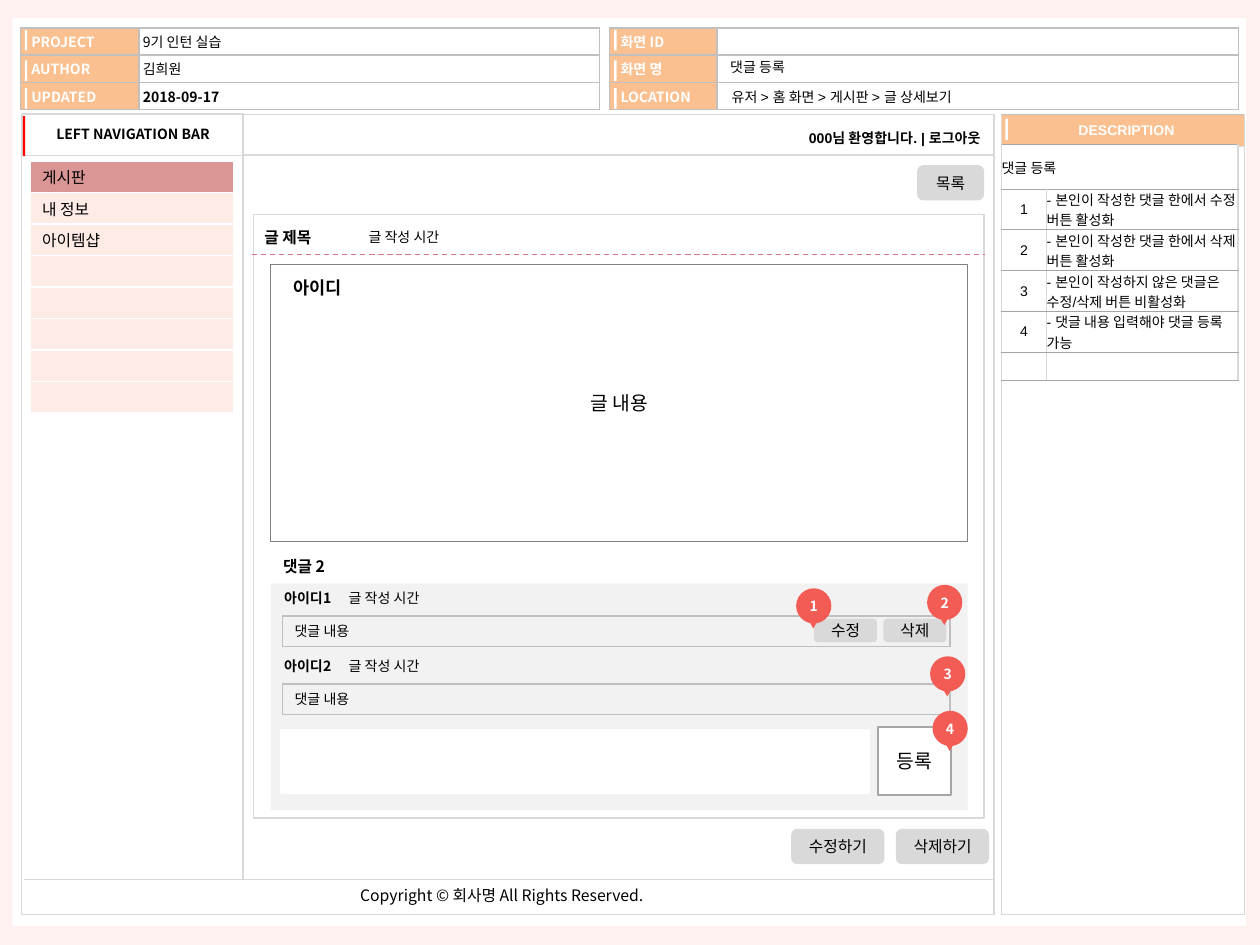
from dataclasses import dataclass

from lxml.etree import SubElement
from pptx import Presentation
from pptx.dml.color import RGBColor
from pptx.enum.dml import MSO_LINE
from pptx.enum.shapes import MSO_CONNECTOR, MSO_SHAPE as Preset
from pptx.enum.text import MSO_ANCHOR as Anchor, PP_ALIGN as Align
from pptx.oxml.ns import qn
from pptx.util import Cm, Pt


@dataclass(frozen=True)
class Theme:
    sans: str = "Noto Sans CJK KR"
    arial: str = "Arial"
    small: int = 8
    menu: int = 9
    author: int = 10
    large: int = 11
    black: str = "000000"
    white: str = "FFFFFF"
    page: str = "FFF1EF"
    header: str = "FAC090"
    header_line: str = "C0C0C0"
    light: str = "D9D9D9"
    rule: str = "A6A6A6"
    comment_line: str = "BFBFBF"
    content_line: str = "808080"
    comments: str = "F2F2F2"
    selected: str = "D99694"
    item: str = "FFEBE5"
    accent: str = "FF0000"
    dashes: str = "D67484"
    pin: str = "F25C54"


T = Theme()

# Tables: left, column widths, rows
PROJECT = (0.41, (2.39, 9.29), [
    ("PROJECT", "9기 인턴 실습"), ("AUTHOR", "김희원"), ("UPDATED", "2018-09-17")])
SCREEN = (12.29, (2.16, 10.52), [("화면 ID", ""), ("화면 명", ""), ("LOCATION", "")])
MENU = ["게시판", "내 정보", "아이템샵", "", "", "", "", ""]
NOTES = [
    ("1", "- 본인이 작성한 댓글 한에서 수정 버튼 활성화"),
    ("2", "- 본인이 작성한 댓글 한에서 삭제 버튼 활성화"),
    ("3", "- 본인이 작성하지 않은 댓글은 수정/삭제 버튼 비활성화"),
    ("4", "- 댓글 내용 입력해야 댓글 등록 가능"),
    ("", ""),
]

# Text, left, top, width, height, then text options
LABELS = [
    ("유저 > 홈 화면 > 게시판 > 글 상세보기", 14.53, 1.68, 7.37, 0.51, dict(font=T.arial)),
    ("댓글 등록", 14.5, 1.09, 7.37, 0.51, dict(font=T.arial)),
    ("000님 환영합니다. | 로그아웃", 13.44, 2.51, 6.55, 0.56,
     dict(font=T.arial, bold=True, align=Align.RIGHT)),
    ("아이디", 5.69, 5.49, 1.57, 0.69, dict(size=T.author, bold=True)),
    ("글 작성 시간", 7.21, 4.5, 2.13, 0.61, {}),
    ("글 제목", 5.11, 4.5, 1.57, 0.64, dict(size=T.menu, bold=True)),
    ("Copyright © 회사명 All Rights Reserved.", 7.04, 17.75, 6.4, 0.64, dict(size=T.menu)),
    ("댓글 2", 5.49, 11.13, 1.45, 0.64, dict(size=T.menu, bold=True)),
]
BUTTONS = [
    ("목록", 18.49, 3.33, 1.35, 0.71),
    ("삭제", 17.81, 12.47, 1.27, 0.48),
    ("수정", 16.41, 12.47, 1.27, 0.48),
    ("수정하기", 15.95, 16.71, 1.88, 0.71),
    ("삭제하기", 18.06, 16.71, 1.88, 0.71),
]
COMMENTS = [("아이디1", 11.79), ("아이디2", 13.16)]
PINS = [("1", 16.05, 11.86), ("2", 18.69, 11.79), ("3", 18.75, 13.23), ("4", 18.8, 14.33)]
# Start x, start y, end x, end y, colour, width, dashed
LINES = [
    (4.9, 2.31, 4.9, 17.73, T.light, 0.75, False),
    (4.9, 3.12, 20.04, 3.12, T.light, 1, False),
    (5.08, 5.13, 19.86, 5.13, T.dashes, 0.75, True),
    (0.48, 17.73, 20.04, 17.73, T.light, 1, False),
]


def rgb(color):
    return RGBColor.from_string(color)


def write(frame, text, size=T.small, font=T.sans, color=T.black, bold=False, align=Align.LEFT):
    paragraph = frame.paragraphs[0]
    paragraph.alignment = align
    if text:
        paragraph.add_run().text = text
    else:
        SubElement(paragraph._p, qn("a:endParaRPr"), sz=str(size * 100))
    style = paragraph.font
    style.size, style.bold = Pt(size), bold
    style.color.rgb = rgb(color)
    style.name = font
    east_asian = paragraph._p.get_or_add_pPr().get_or_add_defRPr()
    SubElement(east_asian, qn("a:ea"), typeface=T.sans)


def set_margins(target, horizontal, vertical):
    target.margin_left = target.margin_right = Cm(horizontal)
    target.margin_top = target.margin_bottom = Cm(vertical)


def add_box(shapes, left, top, width, height, fill=None, line=None, weight=0.75,
            preset=Preset.RECTANGLE, text="", **style):
    shape = shapes.add_shape(preset, Cm(left), Cm(top), Cm(width), Cm(height))
    shape.shadow.inherit = False
    if fill:
        shape.fill.solid()
        shape.fill.fore_color.rgb = rgb(fill)
    else:
        shape.fill.background()
    if line:
        shape.line.color.rgb = rgb(line)
        shape.line.width = Pt(weight)
    else:
        shape.line.fill.background()
    if text:
        frame = shape.text_frame
        frame.word_wrap = True
        frame.vertical_anchor = Anchor.MIDDLE
        centred = style.setdefault("align", Align.CENTER) == Align.CENTER
        set_margins(frame, 0 if centred else 0.25, 0)
        write(frame, text, **style)
    return shape


def add_label(shapes, text, left, top, width, height, style):
    frame = shapes.add_textbox(Cm(left), Cm(top), Cm(width), Cm(height)).text_frame
    frame.word_wrap = "align" in style
    set_margins(frame, 0.22, 0.1)
    write(frame, text, **style)


def add_line(shapes, x1, y1, x2, y2, color, weight, dashed):
    line = shapes.add_connector(MSO_CONNECTOR.STRAIGHT, Cm(x1), Cm(y1), Cm(x2), Cm(y2))
    line.line.color.rgb = rgb(color)
    line.line.width = Pt(weight)
    if dashed:
        line.line.dash_style = MSO_LINE.DASH
    SubElement(line._element.spPr, qn("a:effectLst"))


def add_grid(shapes, left, top, widths, heights):
    table = shapes.add_table(len(heights), len(widths), Cm(left), Cm(top),
                             Cm(sum(widths)), Cm(sum(heights))).table
    table.first_row = table.horz_banding = False
    for column, width in zip(table.columns, widths):
        column.width = Cm(width)
    for row, height in zip(table.rows, heights):
        row.height = Cm(height)
    return table


def fill_cell(cell, text, fill, sides, ends, margins=(0, 0), indent=None, **style):
    """Style a cell; sides and ends are (colour, points) for left/right and top/bottom."""
    properties = cell._tc.get_or_add_tcPr()
    for tag, (color, weight) in zip(("lnL", "lnR", "lnT", "lnB"), (sides, sides, ends, ends)):
        border = SubElement(properties, qn(f"a:{tag}"), w=str(Pt(weight)))
        SubElement(SubElement(border, qn("a:solidFill")), qn("a:srgbClr"), val=color)
    cell.fill.solid()
    cell.fill.fore_color.rgb = rgb(fill)
    cell.vertical_anchor = Anchor.MIDDLE
    set_margins(cell, *margins)
    if indent is not None:
        cell.margin_left = Cm(indent)
    write(cell.text_frame, text, **style)


def add_header(shapes, left, widths, rows):
    table = add_grid(shapes, left, 0.56, widths, [0.55] * len(rows))
    line = (T.header_line, 1)
    for index, (name, value) in enumerate(rows):
        fill_cell(table.cell(index, 0), name, T.header, line, line, (0.08, 0),
                  indent=0.22, color=T.white, bold=True)
        fill_cell(table.cell(index, 1), value, T.white, line, line, (0.08, 0),
                  bold=name == "UPDATED")
    for top in (0.61, 1.22, 1.78):
        add_box(shapes, left + 0.09, top, 0.05, 0.41, T.white)


def add_description(shapes):
    sides, grey, rule = (T.light, 1), (T.header_line, 1), (T.rule, 0.5)
    panel = add_grid(shapes, 20.19, 2.31, [4.9], [0.64, 15.49])
    fill_cell(panel.cell(0, 0), "DESCRIPTION", T.header, sides, grey, indent=0.14,
              font=T.arial, color=T.white, bold=True, align=Align.CENTER)
    fill_cell(panel.cell(1, 0), "", T.white, sides, sides)
    add_box(shapes, 20.27, 2.39, 0.05, 0.43, T.white)

    table = add_grid(shapes, 20.19, 2.92, [0.91, 3.86], [0.89] + [0.82] * 4 + [0.56])
    table.cell(0, 0).merge(table.cell(0, 1))
    for index, row in enumerate([("댓글 등록", "")] + NOTES):
        for column, text in enumerate(row):
            centred = index > 0 and column == 0
            fill_cell(table.cell(index, column), text, T.white, sides, rule, font=T.arial,
                      align=Align.CENTER if centred else Align.LEFT)


def add_menu(shapes):
    table = add_grid(shapes, 0.61, 3.25, [4.11], [5.08 / len(MENU)] * len(MENU))
    line = (T.white, 1)
    for index, name in enumerate(MENU):
        fill_cell(table.cell(index, 0), name, T.item if index else T.selected,
                  line, line, (0.24, 0.06), size=T.menu)


def add_pin(shapes, number, left, top):
    pin = shapes.add_group_shape().shapes
    add_box(pin, left, top, 0.71, 0.71, T.pin, preset=Preset.OVAL, text=number,
            color=T.white, bold=True)
    tip = add_box(pin, left + 0.23, top + 0.61, 0.23, 0.2, T.pin,
                  preset=Preset.ISOSCELES_TRIANGLE)
    tip.rotation = 180


def main():
    presentation = Presentation()
    presentation.slide_width, presentation.slide_height = Cm(25.4), Cm(19.05)
    slide = presentation.slides.add_slide(presentation.slide_layouts[6])
    slide.background.fill.solid()
    slide.background.fill.fore_color.rgb = rgb(T.page)
    shapes = slide.shapes

    add_box(shapes, 0.25, 0.36, 24.87, 18.31, T.white)
    add_header(shapes, *PROJECT)
    add_header(shapes, *SCREEN)
    add_box(shapes, 0.43, 2.31, 19.61, 16.13, line=T.light)
    add_description(shapes)
    add_box(shapes, 0.46, 2.29, 4.45, 0.84, line=T.light, text="LEFT NAVIGATION BAR", bold=True)
    add_box(shapes, 0.46, 2.34, 0.05, 0.81, T.accent)
    add_menu(shapes)
    add_box(shapes, 5.46, 5.33, 14.05, 5.59, line=T.content_line, text="글 내용", size=T.large)
    add_box(shapes, 5.11, 4.32, 14.73, 12.17, line=T.light)
    for line in LINES:
        add_line(shapes, *line)
    add_box(shapes, 5.46, 11.76, 14.05, 4.57, T.comments)
    add_box(shapes, 5.69, 14.73, 11.81, 1.24, T.white, T.white, 2)
    add_box(shapes, 17.7, 14.66, 1.47, 1.37, T.white, T.rule, 1, text="등록", size=T.large)
    for label in LABELS:
        add_label(shapes, *label)
    for name, top in COMMENTS:
        add_label(shapes, name, 5.51, top, 1.52, 0.61, dict(bold=True))
        add_label(shapes, "글 작성 시간", 6.81, top, 2.13, 0.61, {})
        add_box(shapes, 5.69, top + 0.63, 13.46, 0.61, line=T.comment_line,
                text="댓글 내용", align=Align.LEFT)
    for text, *place in BUTTONS:
        add_box(shapes, *place, T.light, preset=Preset.ROUNDED_RECTANGLE, text=text, size=T.menu)
    for pin in PINS:
        add_pin(shapes, *pin)
    presentation.save("out.pptx")


if __name__ == "__main__":
    main()
